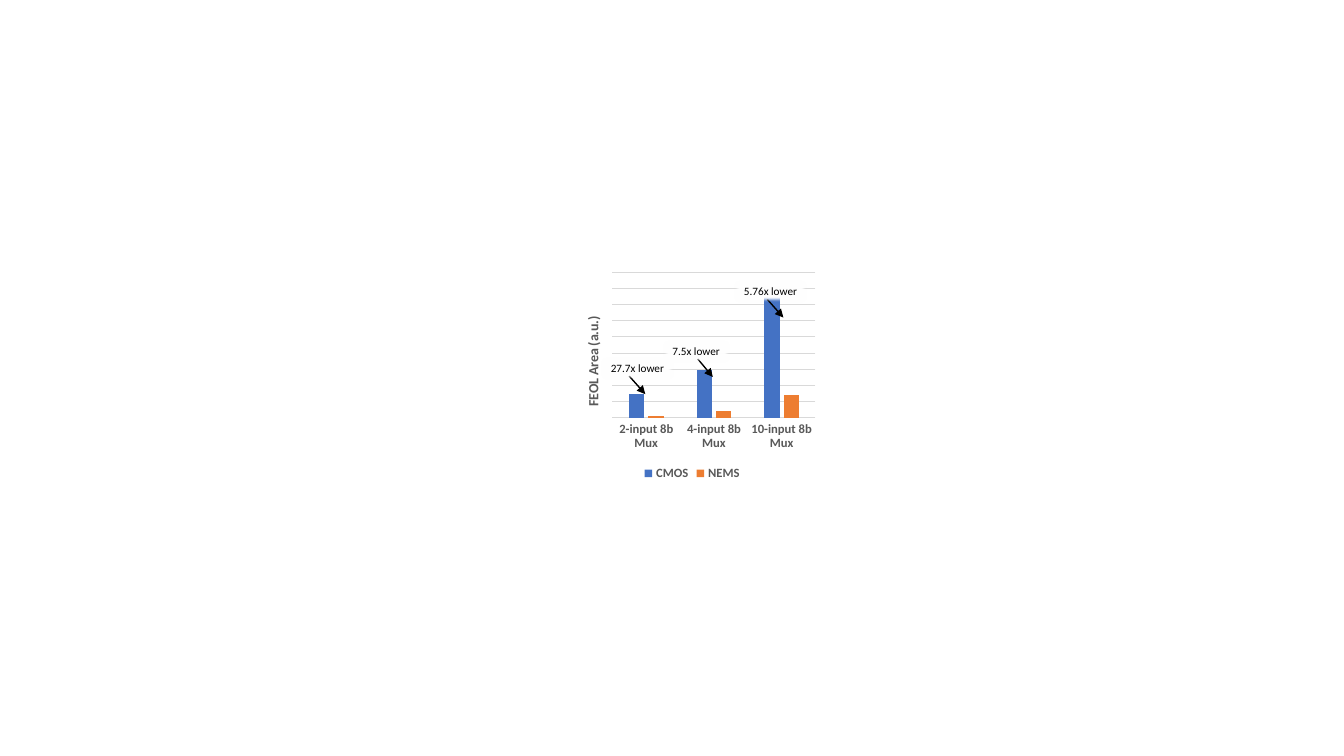
"""Build a slide comparing the FEOL area of CMOS and NEMS multiplexers."""
from typing import NamedTuple

from lxml import etree
from pptx import Presentation
from pptx.chart.chart import Chart
from pptx.chart.data import CategoryChartData
from pptx.dml.color import RGBColor
from pptx.enum.chart import XL_CHART_TYPE, XL_LEGEND_POSITION, XL_TICK_MARK
from pptx.enum.shapes import MSO_CONNECTOR
from pptx.enum.text import MSO_AUTO_SIZE
from pptx.oxml.ns import qn
from pptx.slide import Slide
from pptx.text.text import Font
from pptx.util import Emu, Pt

COLUMNS = XL_CHART_TYPE.COLUMN_CLUSTERED
LEGEND_BOTTOM = XL_LEGEND_POSITION.BOTTOM
NO_TICK = XL_TICK_MARK.NONE
STRAIGHT = MSO_CONNECTOR.STRAIGHT
GROW = MSO_AUTO_SIZE.SHAPE_TO_FIT_TEXT

EMU_PER_PX = 9144
FONT_NAME = "Calibri"
COLORS = {
    "text": "000000",
    "axis_text": "595959",
    "grid": "D9D9D9",
    "label_fill": "FFFFFF",
    "CMOS": "4472C4",
    "NEMS": "ED7D31",
}
CATEGORIES = ["2-input 8b Mux", "4-input 8b Mux", "10-input 8b Mux"]
AREAS = {"CMOS": (18, 36, 100), "NEMS": (1, 5, 17)}
GRID_STEP = 12.3
GRID_INTERVALS = 9
SOFT_EDGE = Pt(2.5)


class Arrow(NamedTuple):
    """A reduction arrow from start to end, in px."""

    x1: int
    y1: int
    x2: int
    y2: int


class Label(NamedTuple):
    """A reduction factor and its box, in px."""

    text: str
    left: int
    top: int
    width: int
    height: int = 24


ARROWS = [
    Arrow(624, 373, 640, 391),
    Arrow(692, 356, 707, 374),
    Arrow(761, 297, 777, 315),
]
LABELS = [
    Label("27.7x lower", 596, 354, 73),
    Label("7.5x lower", 657, 337, 68),
    Label("5.76x lower", 728, 277, 73),
]


def px(length: int) -> Emu:
    """Turn px into EMU."""
    return Emu(length * EMU_PER_PX)


def color(name: str) -> RGBColor:
    """Look up a named colour."""
    return RGBColor.from_string(COLORS[name])


def style_font(font: Font, size: int, color_name: str, bold: bool) -> None:
    """Set the face, size, colour and weight of a font."""
    font.name = FONT_NAME
    font.size = Pt(size)
    font.bold = bold
    font.color.rgb = color(color_name)


def place(parent: etree._Element, **values: float | str) -> None:
    """Give a chart part a manual layout."""
    layout = parent.find(qn("c:layout"))
    if layout is None:
        layout = etree.Element(qn("c:layout"))
        parent.insert(0, layout)
    manual = etree.SubElement(layout, qn("c:manualLayout"))
    for name, value in values.items():
        etree.SubElement(manual, qn(f"c:{name}")).set("val", str(value))


def style_axes(chart: Chart) -> None:
    """Format both axes, the gridlines and the value title."""
    category_axis = chart.category_axis
    category_axis.major_tick_mark = NO_TICK
    category_axis.minor_tick_mark = NO_TICK
    style_font(category_axis.tick_labels.font, 9, "axis_text", True)

    value_axis = chart.value_axis
    value_axis.visible = False
    value_axis.minimum_scale = 0
    value_axis.maximum_scale = round(GRID_STEP * GRID_INTERVALS, 2)
    value_axis.major_unit = GRID_STEP
    value_axis.has_major_gridlines = True
    for line in (category_axis.format.line, value_axis.major_gridlines.format.line):
        line.color.rgb = color("grid")
        line.width = Pt(0.75)

    title = value_axis.axis_title
    span = title.text_frame.paragraphs[0].add_run()
    span.text = "FEOL Area (a.u.)"
    style_font(span.font, 10, "axis_text", True)
    body = next(title.element.iter(qn("a:bodyPr")))
    body.set("rot", "-5400000")
    body.set("vert", "horz")
    place(title.element, xMode="edge", yMode="edge", x=0.07, y=0.21)


def add_area_chart(page: Slide) -> None:
    """Add the clustered columns of FEOL area."""
    data = CategoryChartData()
    data.categories = CATEGORIES
    for name, values in AREAS.items():
        data.add_series(name, values)
    frame = page.shapes.add_chart(COLUMNS, px(559), px(266), px(255), px(215), data)
    chart = frame.chart
    style_font(chart.font, 10, "text", True)
    chart.has_title = False
    chart.has_legend = True
    chart.legend.position = LEGEND_BOTTOM
    chart.legend.include_in_layout = False
    style_font(chart.legend.font, 9, "axis_text", True)

    plot = chart.plots[0]
    plot.gap_width = 219
    plot.overlap = -27
    plot.vary_by_categories = False
    for series in plot.series:
        series.format.fill.solid()
        series.format.fill.fore_color.rgb = color(series.name)
    style_axes(chart)
    place(next(chart.element.iter(qn("c:plotArea"))), layoutTarget="inner",
          xMode="edge", yMode="edge", x=0.19, y=0.02, w=0.79, h=0.67)


def add_arrow(page: Slide, arrow: Arrow) -> None:
    """Draw one reduction arrow."""
    connector = page.shapes.add_connector(STRAIGHT, *map(px, arrow))
    connector.line.color.rgb = color("text")
    connector.line.width = Pt(1)
    properties = connector.element.spPr
    etree.SubElement(properties.find(qn("a:ln")), qn("a:tailEnd")).set("type", "triangle")
    etree.SubElement(properties, qn("a:effectLst"))


def add_label(page: Slide, label: Label) -> None:
    """Write one reduction factor on a soft-edged white box."""
    box = page.shapes.add_textbox(*map(px, label[1:]))
    box.fill.solid()
    box.fill.fore_color.rgb = color("label_fill")
    effects = etree.SubElement(box.element.spPr, qn("a:effectLst"))
    etree.SubElement(effects, qn("a:softEdge")).set("rad", str(int(SOFT_EDGE)))
    box.text_frame.word_wrap = False
    box.text_frame.auto_size = GROW
    span = box.text_frame.paragraphs[0].add_run()
    span.text = label.text
    style_font(span.font, 8, "text", False)


def main() -> None:
    """Build and save the deck."""
    deck = Presentation()
    deck.slide_width = px(1333)
    deck.slide_height = px(750)
    page = deck.slides.add_slide(deck.slide_layouts[6])
    add_area_chart(page)
    for arrow in ARROWS:
        add_arrow(page, arrow)
    for label in LABELS:
        add_label(page, label)
    deck.save("out.pptx")


if __name__ == "__main__":
    main()
